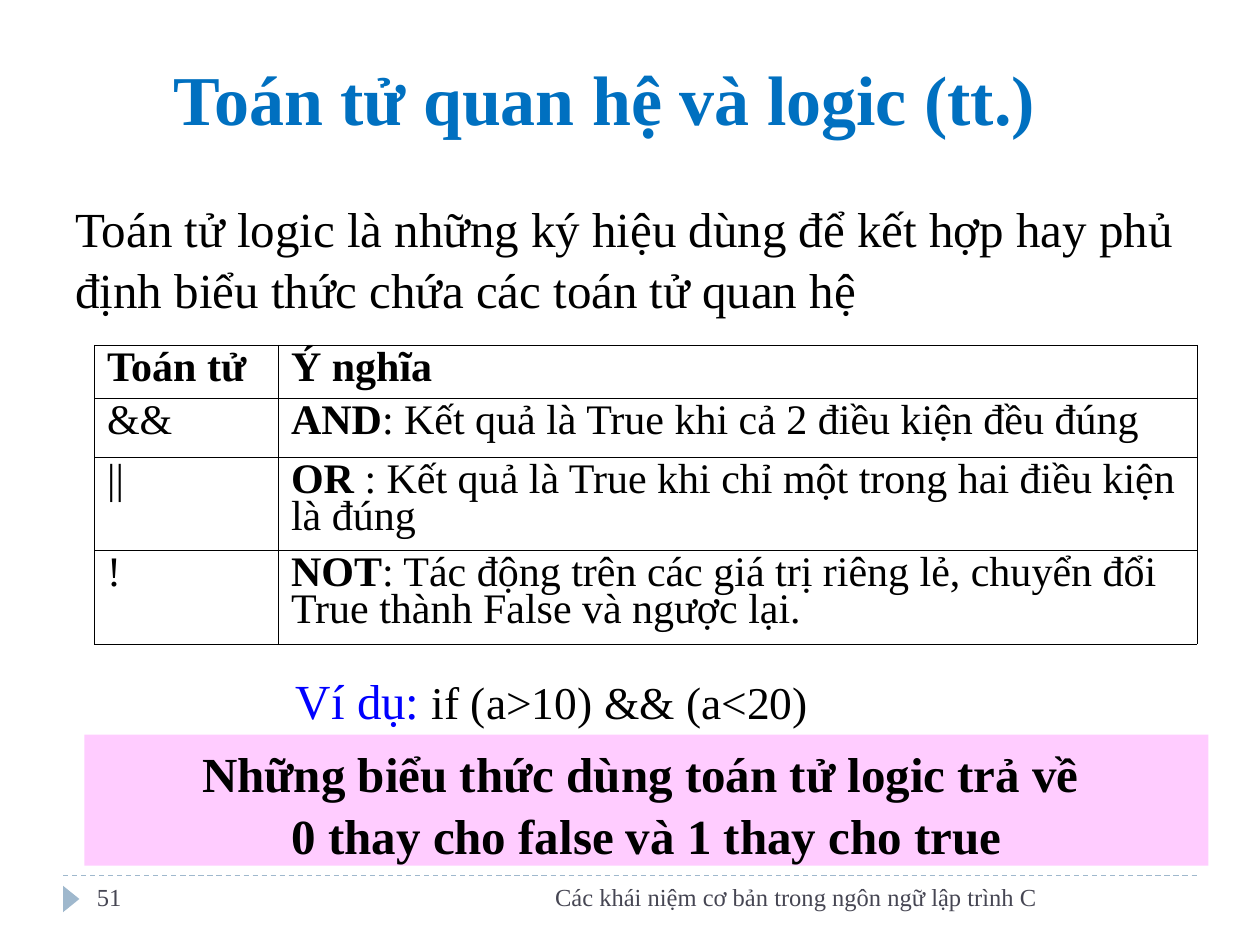
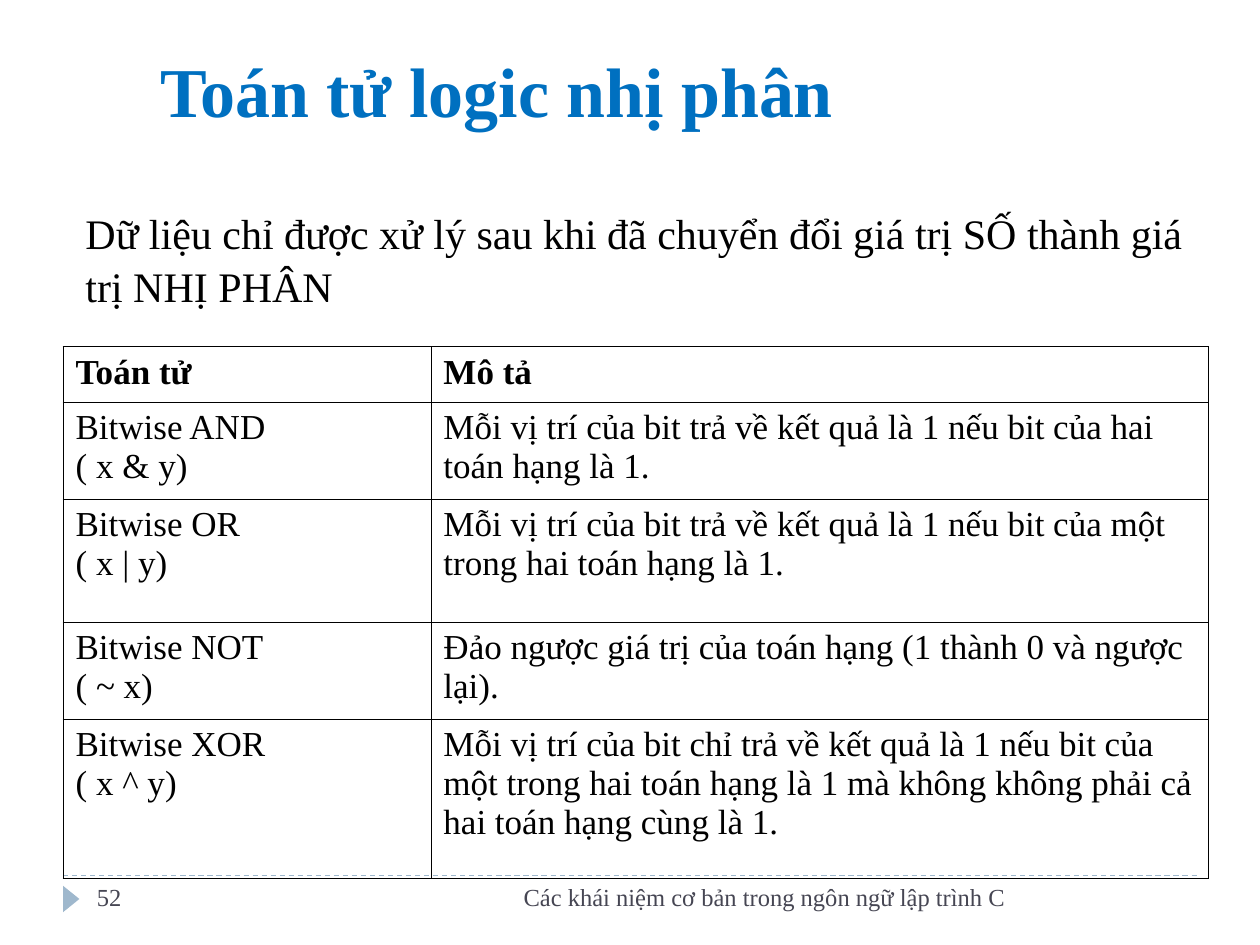
from dataclasses import dataclass

from lxml import etree
from pptx import Presentation
from pptx.dml.color import RGBColor
from pptx.enum.dml import MSO_LINE
from pptx.enum.shapes import MSO_CONNECTOR, MSO_SHAPE
from pptx.enum.text import MSO_ANCHOR, MSO_AUTO_SIZE, PP_ALIGN
from pptx.oxml.ns import qn
from pptx.util import Inches, Pt

FONT = "Times New Roman"
BLACK = RGBColor(0x00, 0x00, 0x00)
TITLE_BLUE = RGBColor(0x00, 0x70, 0xC0)
EXAMPLE_BLUE = RGBColor(0x00, 0x00, 0xFF)
FOOTER_GRAY = RGBColor(0x46, 0x46, 0x53)
RULE_BLUE = RGBColor(0x9F, 0xB8, 0xCD)
BAND_PINK = RGBColor(0xFF, 0xCC, 0xFF)

LEFT, CENTER, RIGHT = PP_ALIGN.LEFT, PP_ALIGN.CENTER, PP_ALIGN.RIGHT
TOP, BOTTOM = MSO_ANCHOR.TOP, MSO_ANCHOR.BOTTOM
NO_AUTOFIT = MSO_AUTO_SIZE.NONE
DASH = MSO_LINE.DASH
STRAIGHT = MSO_CONNECTOR.STRAIGHT
TRIANGLE, RECTANGLE = MSO_SHAPE.ISOSCELES_TRIANGLE, MSO_SHAPE.RECTANGLE

FOOTER_TEXT = "Các khái niệm cơ bản trong ngôn ngữ lập trình C"
FOOTER_TOP = 6.95
FOOTER_HEIGHT = 0.4
BORDER_WIDTH = Pt(0.45)
BODY_SPACING = 1.05


@dataclass(frozen=True)
class Box:
    left: float
    top: float
    width: float
    height: float

    def lengths(self) -> tuple:
        return tuple(Inches(n) for n in (self.left, self.top, self.width, self.height))


@dataclass(frozen=True)
class Span:
    text: str
    size: float
    color: RGBColor = BLACK
    bold: bool = False


@dataclass(frozen=True)
class OperatorTable:
    """Rows hold an operator, a bold lead-in and its meaning."""
    box: Box
    columns: tuple
    row_heights: tuple
    rows: tuple
    size: float
    line_spacing: float


@dataclass(frozen=True)
class SlidePlan:
    number: int
    title: str
    title_box: Box
    footer_width: float
    intro: str
    intro_size: float
    intro_box: Box
    table: OperatorTable


LOGICAL_OPERATORS = SlidePlan(
    number=51,
    title="Toán tử quan hệ và logic (tt.)",
    title_box=Box(1.28, 0.33, 8.47, 0.83),
    footer_width=5.16,
    intro="Toán tử logic là những ký hiệu dùng để kết hợp hay phủ định "
          "biểu thức chứa các toán tử quan hệ",
    intro_size=28,
    intro_box=Box(0.5, 1.5, 9.08, 1.04),
    table=OperatorTable(
        box=Box(0.75, 2.74, 8.75, 2.38),
        columns=(1.46, 7.29),
        row_heights=(0.42, 0.47, 0.74, 0.74),
        rows=(
            ("Toán tử", "Ý nghĩa", ""),
            ("&&", "AND", ": Kết quả là True khi cả 2 điều kiện đều đúng"),
            ("||", "OR", " : Kết quả là True khi chỉ một trong hai điều kiện là đúng"),
            ("!", "NOT", ": Tác động trên các giá trị riêng lẻ, chuyển đổi "
                         "True thành False và ngược lại."),
        ),
        size=24,
        line_spacing=0.8,
    ),
)

BITWISE_OPERATORS = SlidePlan(
    number=52,
    title="Toán tử logic nhị phân",
    title_box=Box(1.17, 0.17, 8.25, 0.92),
    footer_width=4.91,
    intro="Dữ liệu chỉ được xử lý sau khi đã chuyển đổi giá trị SỐ "
          "thành giá trị NHỊ PHÂN",
    intro_size=24,
    intro_box=Box(0.58, 1.58, 8.92, 0.9),
    table=OperatorTable(
        box=Box(0.5, 2.75, 9.08, 4.22),
        columns=(2.92, 6.17),
        row_heights=(0.44, 0.77, 0.98, 0.77, 1.26),
        rows=(
            ("Toán tử", "Mô tả", ""),
            ("Bitwise AND\n( x & y)", "",
             "Mỗi vị trí của bit trả về kết quả là 1 nếu bit của hai toán hạng là 1."),
            ("Bitwise OR\n( x | y)", "",
             "Mỗi vị trí của bit trả về kết quả là 1 nếu bit của một "
             "trong hai toán hạng là 1."),
            ("Bitwise NOT\n( ~ x)", "",
             "Ðảo ngược giá trị của toán hạng (1 thành 0 và ngược lại)."),
            ("Bitwise XOR\n( x ^ y)", "",
             "Mỗi vị trí của bit chỉ trả về kết quả là 1 nếu bit của một trong "
             "hai toán hạng là 1 mà không không phải cả hai toán hạng cùng là 1."),
        ),
        size=20,
        line_spacing=1.0,
    ),
)


def write_spans(text_frame, spans, align=LEFT, line_spacing=1.0) -> None:
    """Write the spans one after another; a newline starts a new paragraph."""
    paragraph = text_frame.paragraphs[0]
    for span in spans:
        for index, line in enumerate(span.text.split("\n")):
            if index:
                paragraph = text_frame.add_paragraph()
            first_new = len(paragraph.runs)
            if "\v" in line:
                paragraph.text = line
            else:
                paragraph.add_run().text = line
            for run in paragraph.runs[first_new:]:
                run.font.name = FONT
                run.font.size = Pt(span.size)
                run.font.bold = span.bold
                run.font.color.rgb = span.color
    for paragraph in text_frame.paragraphs:
        paragraph.alignment = align
        paragraph.line_spacing = line_spacing


def add_text(slide, box: Box, spans, align=LEFT, line_spacing=1.0) -> None:
    text_frame = slide.shapes.add_textbox(*box.lengths()).text_frame
    text_frame.word_wrap = True
    write_spans(text_frame, spans, align, line_spacing)


def add_filled_shape(slide, kind, box: Box, color: RGBColor):
    shape = slide.shapes.add_shape(kind, *box.lengths())
    shape.shadow.inherit = False
    shape.fill.solid()
    shape.fill.fore_color.rgb = color
    shape.line.fill.background()
    return shape


def add_title(slide, text: str, box: Box) -> None:
    title = slide.shapes.title
    title.left, title.top, title.width, title.height = box.lengths()
    text_frame = title.text_frame
    text_frame.word_wrap = True
    text_frame.auto_size = NO_AUTOFIT
    text_frame.vertical_anchor = BOTTOM
    write_spans(text_frame, [Span(text, 40, TITLE_BLUE, True)])


def add_footer(slide, number: int, width: float) -> None:
    rule_y = Inches(FOOTER_TOP)
    rule = slide.shapes.add_connector(STRAIGHT, Inches(0.5), rule_y, Inches(9.5), rule_y)
    rule.line.color.rgb = RULE_BLUE
    rule.line.width = Pt(0.75)
    rule.line.dash_style = DASH
    etree.SubElement(rule._element.spPr, qn("a:effectLst"))
    marker = add_filled_shape(slide, TRIANGLE, Box(0.46, 7.07, 0.21, 0.13), RULE_BLUE)
    marker.rotation = 90
    add_text(slide, Box(3.17, FOOTER_TOP, width, FOOTER_HEIGHT),
             [Span(FOOTER_TEXT, 14, FOOTER_GRAY)], RIGHT)
    add_text(slide, Box(0.67, FOOTER_TOP, 2.17, FOOTER_HEIGHT),
             [Span(str(number), 14, FOOTER_GRAY)])


def add_borders(cell) -> None:
    properties = cell._tc.get_or_add_tcPr()
    for index, side in enumerate(("lnL", "lnR", "lnT", "lnB")):
        line = etree.Element(qn(f"a:{side}"), w=str(int(BORDER_WIDTH)))
        fill = etree.SubElement(line, qn("a:solidFill"))
        etree.SubElement(fill, qn("a:srgbClr"), val=str(BLACK))
        properties.insert(index, line)


def add_operator_table(slide, plan: OperatorTable) -> None:
    frame = slide.shapes.add_table(len(plan.rows), len(plan.columns), *plan.box.lengths())
    table = frame.table
    table.first_row = table.horz_banding = False
    for column, width in zip(table.columns, plan.columns):
        column.width = Inches(width)
    for row_index, (operator, lead, meaning) in enumerate(plan.rows):
        row = table.rows[row_index]
        row.height = Inches(plan.row_heights[row_index])
        contents = (
            [Span(operator, plan.size, bold=row_index == 0)],
            [Span(lead, plan.size, bold=True), Span(meaning, plan.size)],
        )
        for cell, spans in zip(row.cells, contents):
            cell.fill.background()
            add_borders(cell)
            write_spans(cell.text_frame, [span for span in spans if span.text],
                        line_spacing=plan.line_spacing)


def add_operator_slide(presentation, plan: SlidePlan):
    slide = presentation.slides.add_slide(presentation.slide_layouts[5])
    add_footer(slide, plan.number, plan.footer_width)
    add_title(slide, plan.title, plan.title_box)
    add_text(slide, plan.intro_box, [Span(plan.intro, plan.intro_size)],
             line_spacing=BODY_SPACING)
    add_operator_table(slide, plan.table)
    return slide


def add_example_and_result(slide) -> None:
    band = add_filled_shape(slide, RECTANGLE, Box(0.67, 5.83, 8.92, 1.04), BAND_PINK)
    band.text_frame.word_wrap = True
    band.text_frame.vertical_anchor = TOP
    result = "Những biểu thức dùng toán tử logic trả về \v0 thay cho false và 1 thay cho true"
    write_spans(band.text_frame, [Span(result, 28, bold=True)], CENTER, BODY_SPACING)
    add_text(slide, Box(2.25, 5.25, 5.09, 0.57),
             [Span("Ví dụ: ", 28, EXAMPLE_BLUE), Span("if (a>10) && (a<20)", 26)],
             line_spacing=BODY_SPACING)


def main() -> None:
    presentation = Presentation()
    presentation.slide_width = Inches(10)
    presentation.slide_height = Inches(7.5)
    logical_slide = add_operator_slide(presentation, LOGICAL_OPERATORS)
    add_example_and_result(logical_slide)
    add_operator_slide(presentation, BITWISE_OPERATORS)
    presentation.save("out.pptx")


if __name__ == "__main__":
    main()
